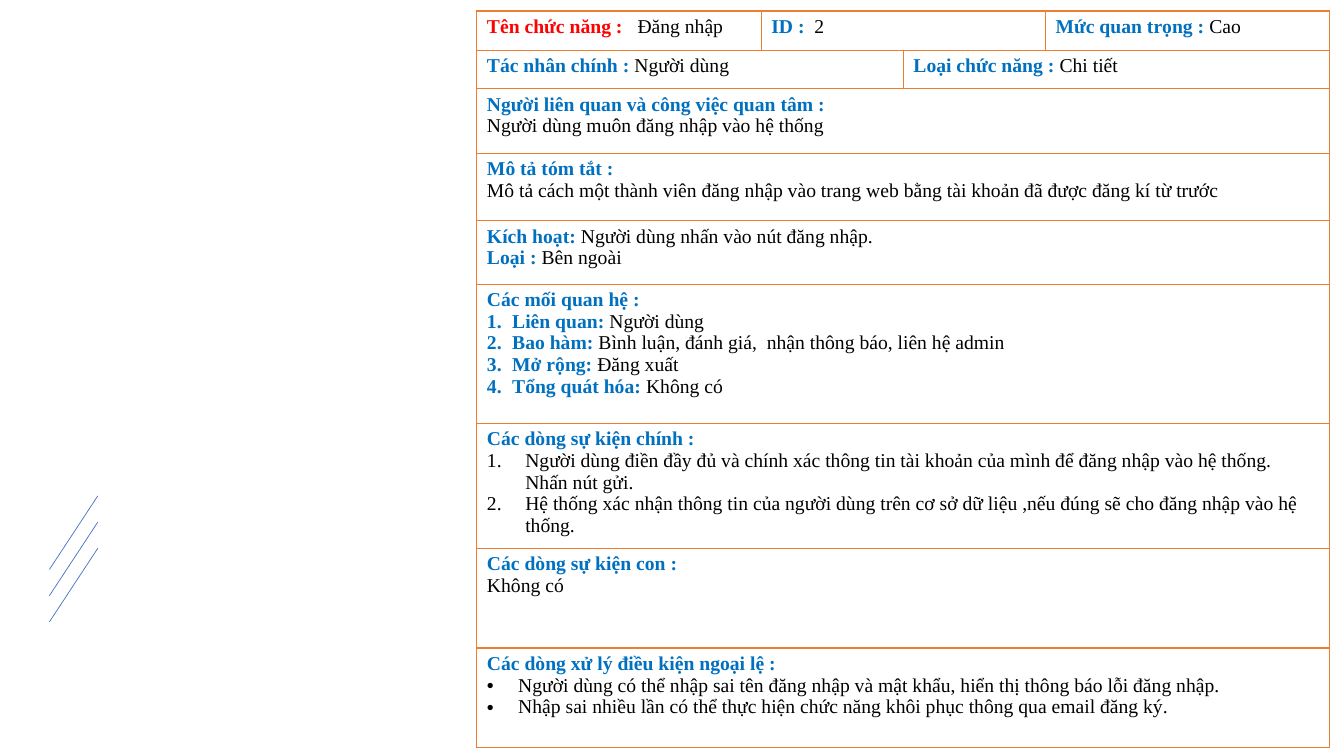
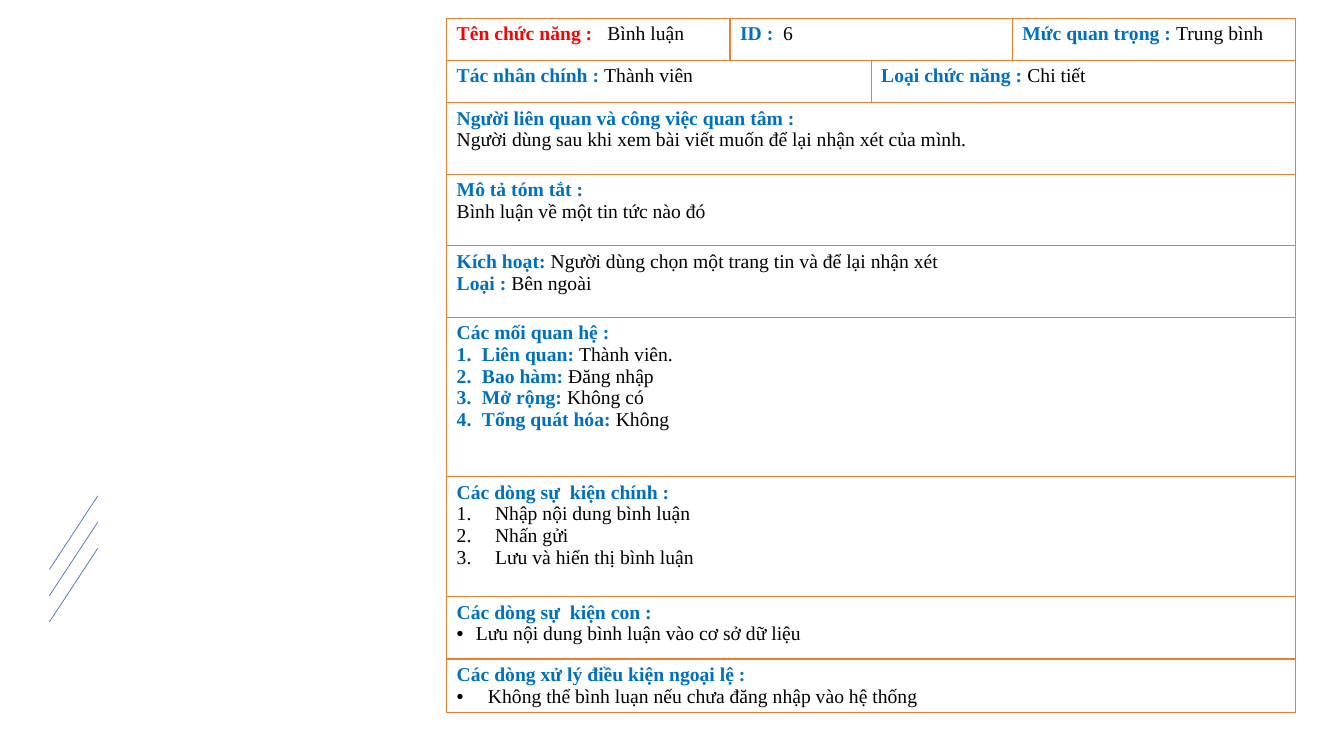
from dataclasses import dataclass

from lxml import etree
from pptx import Presentation
from pptx.dml.color import RGBColor
from pptx.enum.shapes import MSO_CONNECTOR
from pptx.oxml.ns import qn
from pptx.util import Pt

STRAIGHT = MSO_CONNECTOR.STRAIGHT
PX = 9144  # 100 px to the inch


@dataclass(frozen=True)
class Theme:
    font: str = "Times New Roman"
    size: int = 14
    name: str = "FF0000"
    head: str = "0070C0"
    body: str = "000000"
    rule: str = "ED7D31"
    slash: str = "4472C4"
    rule_w: float = 1
    slash_w: float = 0.5


THEME = Theme()

# First and last column of each cell, for the rows that are split
SPANS = {0: [(0, 0), (1, 2), (3, 3)], 1: [(0, 1), (2, 3)]}
WHOLE = [(0, 3)]

LOGIN = {
    "box": (473, 11, 846),
    "rows": [39, 38, 64, 67, 63, 138, 124, 99, 99],
    "top": ["Đăng nhập", "2", "Cao"],
    "actor": "Người dùng",
    "care": "Người dùng muôn đăng nhập vào hệ thống",
    "brief": ["Mô tả tóm tắt :\n|Mô tả cách một thành viên đăng nhập vào trang web "
              "bằng tài khoản đã được đăng kí từ trước"],
    "start": "Người dùng nhấn vào nút đăng nhập.",
    "links": ["Người dùng",
              "Bình luận, đánh giá,  nhận thông báo, liên hệ admin",
              "Đăng xuất", "Không có"],
    "flow": "Các dòng sự kiện",
    "main": ["Người dùng điền đầy đủ và chính xác thông tin tài khoản của mình "
             "để đăng nhập vào hệ thống.  Nhấn nút gửi.",
             "Hệ thống xác nhận thông tin của người dùng trên cơ sở dữ liệu ,"
             "nếu đúng sẽ cho đăng nhập vào hệ thống."],
    "sub": ["|Không có"],
    "fail": ["Người dùng có thể nhập sai tên đăng nhập và mật khẩu, "
             "hiển thị thông báo lỗi đăng nhập.",
             "Nhập sai nhiều lần có thể thực hiện chức năng khôi phục "
             "thông qua email đăng ký."],
}

NOTE = {
    "box": (443, 18, 844),
    "rows": [42, 42, 71, 71, 71, 158, 119, 62, 53],
    "top": ["Bình luận", "6", "Trung bình"],
    "actor": "Thành viên",
    "care": "Người dùng sau khi xem bài viết muốn để lại nhận xét của mình.",
    "brief": ["Mô tả tóm tắt :", "|Bình luận về một tin tức nào đó"],
    "start": "Người dùng chọn một trang tin và để lại nhận xét",
    "links": ["Thành viên.", "Đăng nhập", "Không có", "Không"],
    "flow": "Các dòng sự  kiện",
    "main": ["Nhập nội dung bình luận", "Nhấn gửi", "Lưu và hiển thị bình luận"],
    "sub": [("dot", 19, "|Lưu nội dung bình luận vào cơ sở dữ liệu")],
    "fail": ["Không thể bình luạn nếu chưa đăng nhập vào hệ thống"],
}


def listed(kind, dent, texts):
    return [(kind, dent, "|" + text) for text in texts]


def fields(case):
    """Return rows of cells; a cell is a list of paragraphs.

    In a paragraph, parts between bars are heading and body in turn.
    A list item is a tuple of marker kind, indent and text.
    """
    name, code, rank = case["top"]
    ties = ["Liên quan", "Bao hàm", "Mở rộng", "Tổng quát hóa"]
    return [
        [[f"Tên chức năng :   |{name}"], [f"ID :  |{code}"],
         [f"Mức quan trọng : |{rank}"]],
        [[f"Tác nhân chính : |{case['actor']}"], ["Loại chức năng : |Chi tiết"]],
        [["Người liên quan và công việc quan tâm :", "|" + case["care"]]],
        [case["brief"]],
        [[f"Kích hoạt: |{case['start']}\n|Loại : |Bên ngoài"]],
        [["Các mối quan hệ :"] + [("num", 25, f"{tie}: |{text}")
                                  for tie, text in zip(ties, case["links"])]],
        [[case["flow"] + " chính :"] + listed("num", 38, case["main"])],
        [[case["flow"] + " con :"] + case["sub"]],
        [["Các dòng xử lý điều kiện ngoại lệ :"] + listed("dot", 31, case["fail"])],
    ]


def mark(para, kind, dent):
    props = para._p.get_or_add_pPr()
    for key, value in {"marL": dent, "indent": -dent}.items():
        props.set(key, str(value * PX))
    if kind == "num":
        etree.SubElement(props, qn("a:buFont"), typeface="+mj-lt")
        etree.SubElement(props, qn("a:buAutoNum"), type="arabicPeriod")
    else:
        etree.SubElement(props, qn("a:buFont"), typeface="Arial")
        etree.SubElement(props, qn("a:buChar"), char="•")


def write(para, text, head):
    for i, part in enumerate(text.split("|")):
        if not part:
            continue
        bold = i % 2 == 0
        run = para.add_run()
        run.text = part.rstrip("\n")
        style = {"name": THEME.font, "size": Pt(THEME.size), "bold": bold}
        for key, value in style.items():
            setattr(run.font, key, value)
        run.font.color.rgb = RGBColor.from_string(head if bold else THEME.body)
        if part.endswith("\n"):
            para.add_line_break()


def fill(cell, paras, head):
    frame = cell.text_frame
    for i, item in enumerate(paras):
        para = frame.add_paragraph() if i else frame.paragraphs[0]
        if isinstance(item, tuple):
            kind, dent, item = item
            mark(para, kind, dent)
        write(para, item, head)


def edge(cell):
    props = cell._tc.get_or_add_tcPr()
    for side in ("a:lnL", "a:lnR", "a:lnT", "a:lnB"):
        line = etree.SubElement(props, qn(side), w=str(Pt(THEME.rule_w)))
        paint = etree.SubElement(line, qn("a:solidFill"))
        etree.SubElement(paint, qn("a:srgbClr"), val=THEME.rule)
    cell.fill.background()


def form(slide, case):
    left, top, width = case["box"]
    rows = case["rows"]
    frame = slide.shapes.add_table(
        len(rows), 4, *(n * PX for n in (left, top, width, sum(rows))))
    table = frame.table
    table.first_row = table.horz_banding = False
    for i, col in enumerate(table.columns):
        col.width = (width // 3 if i in (0, 3) else width // 6) * PX
    for row, high in zip(table.rows, rows):
        row.height = high * PX
    for cell in table.iter_cells():
        edge(cell)
    for r, cells in enumerate(fields(case)):
        for (first, last), paras in zip(SPANS.get(r, WHOLE), cells):
            cell = table.cell(r, first)
            if last > first:
                cell.merge(table.cell(r, last))
            fill(cell, paras, THEME.head if (r, first) != (0, 0) else THEME.name)


def slashes(slide, layout, left, top):
    """Draw three slanted lines and move them to the layout."""
    wide, high, step = 48, 73, 26
    for i in range(3):
        y = top + i * step
        line = slide.shapes.add_connector(
            STRAIGHT, *(n * PX for n in (left, y + high, left + wide, y)))
        line.line.color.rgb = RGBColor.from_string(THEME.slash)
        line.line.width = Pt(THEME.slash_w)
        etree.SubElement(line._element.spPr, qn("a:effectLst"))
        layout.shapes.element.append(line._element)


def main():
    deck = Presentation()
    deck.slide_width, deck.slide_height = 1333 * PX, 750 * PX
    layout = deck.slide_layouts[6]
    for i, case in enumerate((LOGIN, NOTE)):
        slide = deck.slides.add_slide(layout)
        if i == 0:
            slashes(slide, layout, 49, 492)
        form(slide, case)
    deck.save("out.pptx")


if __name__ == "__main__":
    main()
